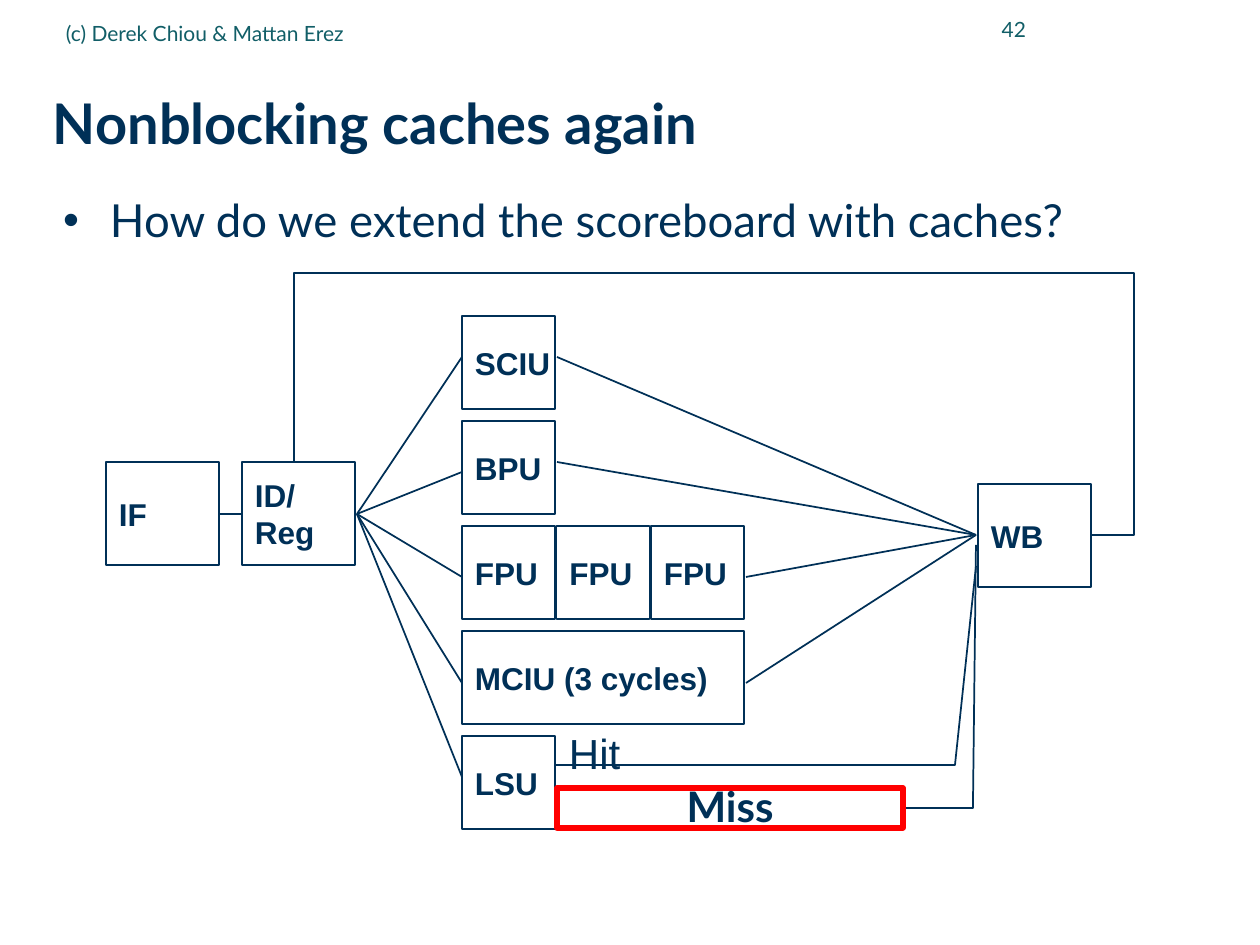
from lxml import etree
from pptx import Presentation, util as u
from pptx.dml.color import RGBColor
from pptx.enum import shapes, text
from pptx.oxml.ns import qn

SCALE = 914400 / 126  # EMU per px
NAVY = RGBColor(0x00, 0x30, 0x57)
TEAL = RGBColor(0x11, 0x5E, 0x67)
RED = RGBColor(0xFF, 0x00, 0x00)
LEFT, CENTER, RIGHT = text.PP_ALIGN.LEFT, text.PP_ALIGN.CENTER, text.PP_ALIGN.RIGHT
TOP, MIDDLE = text.MSO_ANCHOR.TOP, text.MSO_ANCHOR.MIDDLE
PAD = (13, 6)  # horizontal and vertical text inset

# Content: pipeline stages (label, left, top) and units (label, column, row, columns wide)
STAGES = [("IF", 106, 462), ("ID/\nReg", 242, 462), ("WB", 978, 484)]
UNITS = [
    ("SCIU", 0, 0, 1),
    ("BPU", 0, 1, 1),
    ("FPU", 0, 2, 1),
    ("FPU", 1, 2, 1),
    ("FPU", 2, 2, 1),
    ("MCIU (3 cycles)", 0, 3, 3),
    ("LSU", 0, 4, 1),
]
STAGE_SIZE = (113, 103)
UNIT_LEFT, UNIT_TOP, UNIT_SIZE = 462, 316, 93
COLUMN_STEP, ROW_STEP = 94.5, 105

# Wires
ISSUE_PORT, ISSUE_ENDS = (357, 514), [357, 472, 577, 683, 777]
WB_PORT = (976, 535)
RESULT_STARTS = [(557, 357), (557, 462), (746, 577), (746, 683)]
PATHS = [
    [(556, 765), (955, 765), (976, 566)],  # hit
    [(903, 808), (973, 808), (976, 545)],  # miss
    [(1092, 535), (1134, 535), (1134, 273), (294, 273), (294, 462)],  # write back
]


def px(value):
    return u.Emu(round(value * SCALE))


def write(shape, words, size=18, font="Arial", color=NAVY, bold=False, align=LEFT,
          anchor=MIDDLE, inset=PAD, wrap=True, spacing=None, bullet_indent=0):
    frame = shape.text_frame
    frame.word_wrap = wrap
    frame.vertical_anchor = anchor
    frame.margin_left = frame.margin_right = px(inset[0])
    frame.margin_top = frame.margin_bottom = px(inset[1])
    for index, line in enumerate(words.split("\n")):
        para = frame.add_paragraph() if index else frame.paragraphs[0]
        para.alignment = align
        if spacing:
            para.line_spacing = spacing
        if bullet_indent:
            props = para._p.get_or_add_pPr()
            props.set("marL", str(px(bullet_indent)))
            props.set("indent", str(-px(bullet_indent)))
            etree.SubElement(props, qn("a:buFont")).set("typeface", "Arial")
            etree.SubElement(props, qn("a:buChar")).set("char", "•")
        span = para.add_run()
        span.text = line
        span.font.size = u.Pt(size)
        span.font.name = font
        span.font.bold = bold
        span.font.color.rgb = color


def add_text(page, place, words, **style):
    write(page.shapes.add_textbox(*map(px, place)), words, **style)


def outline(shape, color=NAVY, width=1):
    shape.shadow.inherit = False
    shape.fill.background()
    shape.line.color.rgb = color
    shape.line.width = u.Pt(width)


def add_box(page, place, words, color=NAVY, width=1, **style):
    box = page.shapes.add_shape(shapes.MSO_SHAPE.RECTANGLE, *map(px, place))
    outline(box, color, width)
    write(box, words, bold=True, **style)


def add_wire(page, start, end):
    wire = page.shapes.add_connector(
        shapes.MSO_CONNECTOR.STRAIGHT, *map(px, start + end))
    wire.line.color.rgb = NAVY
    wire.line.width = u.Pt(1)
    etree.SubElement(wire._element.spPr, qn("a:effectLst"))


def add_path(page, points):
    builder = page.shapes.build_freeform(*points[0], scale=SCALE)
    builder.add_line_segments(points[1:], close=False)
    outline(builder.convert_to_shape())


def main():
    deck = Presentation()
    deck.slide_width, deck.slide_height = u.Inches(10), u.Inches(7.5)
    page = deck.slides.add_slide(deck.slide_layouts[6])

    # Header, title and question
    add_text(page, (53, 4, 714, 58), "(c) Derek Chiou & Mattan Erez",
             size=12, font="Lato", color=TEAL)
    add_text(page, (924, -2, 115, 63), "42", size=12, font="Lato", color=TEAL, align=RIGHT)
    add_text(page, (53, 63, 1186, 123), "Nonblocking caches again",
             size=32, font="Lato", bold=True, inset=(0, 0), spacing=0.99)
    add_text(page, (63, 198, 1176, 745), "How do we extend the scoreboard with caches?",
             size=26, font="Lato", anchor=TOP, inset=(0, 0), spacing=0.9, bullet_indent=47)

    # Stages and execution units
    for label, left, top in STAGES:
        add_box(page, (left, top, *STAGE_SIZE), label, wrap=False)
    for label, column, row, columns in UNITS:
        place = (UNIT_LEFT + column * COLUMN_STEP, UNIT_TOP + row * ROW_STEP,
                 UNIT_SIZE + (columns - 1) * COLUMN_STEP, UNIT_SIZE)
        add_box(page, place, label, wrap=False)

    # Wires between stages and units
    add_wire(page, (242, 514), (220, 514))
    for y in ISSUE_ENDS:
        add_wire(page, (UNIT_LEFT, y), ISSUE_PORT)
    for start in RESULT_STARTS:
        add_wire(page, start, WB_PORT)
    for points in PATHS:
        add_path(page, points)

    # Cache outcomes
    add_text(page, (569, 728, 80, 48), "Hit", size=24, anchor=TOP, inset=(0, 0))
    add_box(page, (557, 788, 346, 40), "Miss", color=RED, width=3, size=24,
            font="Lato", align=CENTER, inset=(0, 0), spacing=0.99)

    deck.save("out.pptx")


if __name__ == "__main__":
    main()
